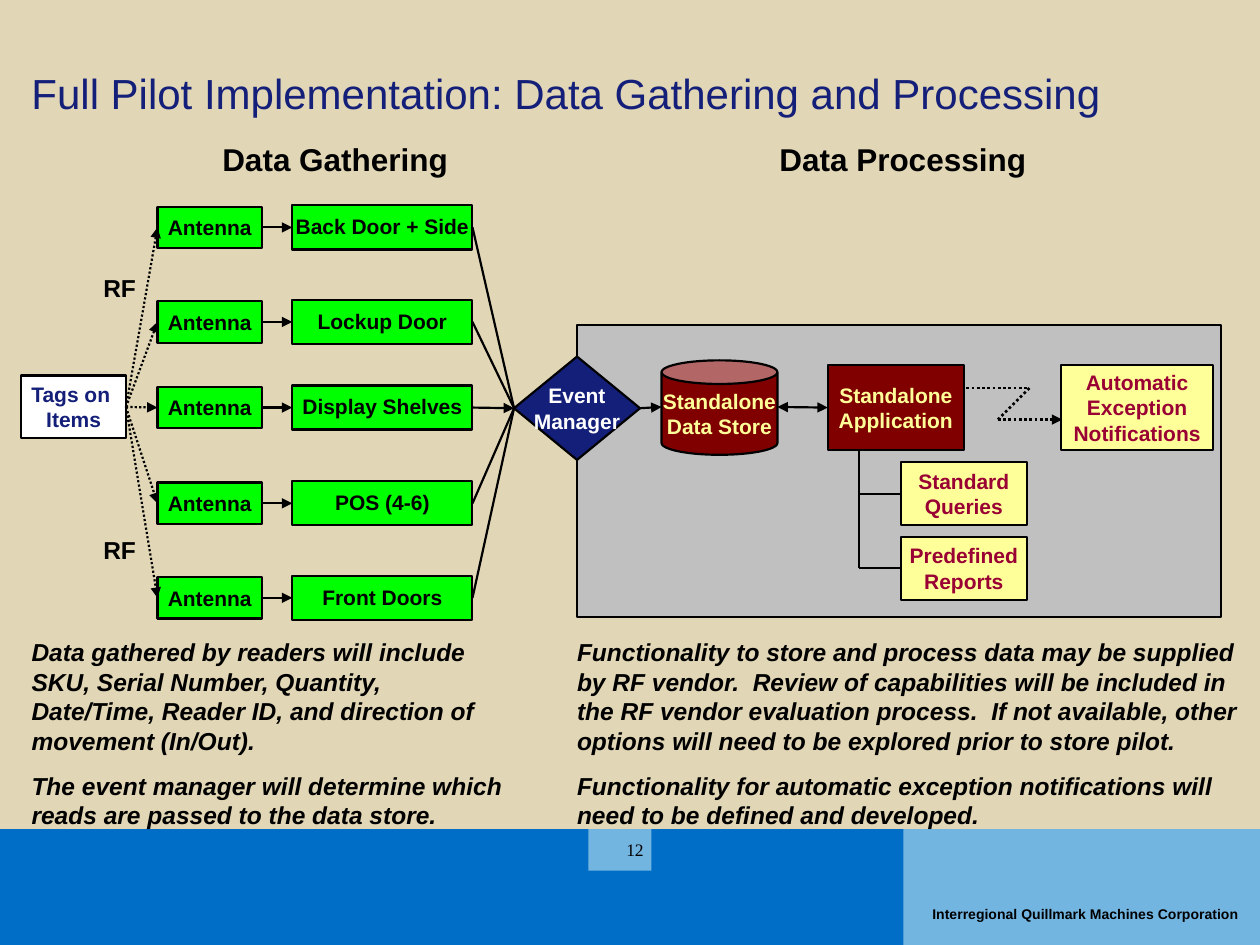
import pptx
import pptx.util
import pptx.dml.color
import pptx.enum.dml
import pptx.enum.shapes
import pptx.enum.text
import pptx.oxml.ns
from lxml import etree

Inches = pptx.util.Inches
Pt = pptx.util.Pt
Kind = pptx.enum.shapes.MSO_SHAPE
Align = pptx.enum.text.PP_ALIGN
Anchor = pptx.enum.text.MSO_ANCHOR

BLACK, NAVY, MAROON = "000000", "141F79", "800000"
BLUE, SKY, GREEN = "006EC7", "73B5E1", "00FF00"
YELLOW, WINE, WHITE = "FFFF99", "990033", "FFFFFF"
TOP, LEFT, BOTTOM, RIGHT = range(4)

bands = [
    ((0, 6.58, 10, 0.92), BLUE),
    ((7.17, 6.58, 2.83, 0.92), SKY),
    ((4.67, 6.58, 0.5, 0.33), SKY),
]
company = "Interregional Quillmark Machines Corporation"
title = "Full Pilot Implementation: Data Gathering and Processing"
heads = [
    ((1.55, 1.11, 2.22, 0.3), "Data Gathering"),
    ((6.08, 1.11, 2.17, 0.3), "Data Processing"),
]
readers = [
    (1.63, "Back Door + Side"),
    (2.38, "Lockup Door"),
    (3.06, "Display Shelves"),
    (3.82, "POS (4-6)"),
    (4.57, "Front Doors"),
]
outputs = [(3.67, "Standard Queries"), (4.26, "Predefined Reports")]
notes = [
    ((0.25, 5.06, 3.75, 1.53), [
        "Data gathered by readers will include SKU, Serial Number, Quantity, "
        "Date/Time, Reader ID, and direction of movement (In/Out).",
        "The event manager will determine which reads are passed to the data store.",
    ]),
    ((4.58, 5.06, 5.33, 1.53), [
        "Functionality to store and process data may be supplied by RF vendor.  "
        "Review of capabilities will be included in the RF vendor evaluation process.  "
        "If not available, other options will need to be explored prior to store pilot.",
        "Functionality for automatic exception notifications will need to be "
        "defined and developed.",
    ]),
]
zigzag = [(7.67, 3.08), (8.17, 3.08), (7.92, 3.33), (8.43, 3.33)]

deck = pptx.Presentation()
deck.slide_width, deck.slide_height = Inches(10), Inches(7.5)
slide = deck.slides.add_slide(deck.slide_layouts[6])


def color(code):
    return pptx.dml.color.RGBColor.from_string(code)


def write(shape, lines, size=12, ink=BLACK, bold=True, slant=False, face="Arial",
          align=Align.CENTER, anchor=Anchor.MIDDLE, wrap=True, pitch=None, gap=0):
    frame = shape.text_frame
    frame.word_wrap = wrap
    frame.vertical_anchor = anchor
    frame.margin_left = frame.margin_right = frame.margin_top = frame.margin_bottom = 0
    for i, line in enumerate(lines):
        para = frame.add_paragraph() if i else frame.paragraphs[0]
        para.alignment = align
        if pitch:
            para.line_spacing = pitch
        if i and gap:
            para.space_before = Pt(gap)
        run = para.add_run()
        run.text = line
        font = run.font
        font.name, font.size, font.bold, font.italic = face, Pt(size), bold, slant
        font.color.rgb = color(ink)


def label(area, lines, **style):
    write(slide.shapes.add_textbox(*map(Inches, area)), lines, **style)


def block(area, fill, lines=(), kind=Kind.RECTANGLE, edge=True, **style):
    shape = slide.shapes.add_shape(kind, *map(Inches, area))
    shape.shadow.inherit = False
    shape.fill.solid()
    shape.fill.fore_color.rgb = color(fill)
    if edge:
        shape.line.color.rgb = color(BLACK)
        shape.line.width = Pt(1.25)
    else:
        shape.line.fill.background()
    write(shape, lines, **style)
    return shape


def link(start, end, ends=(), dots=False, width=1.25):
    joins = [isinstance(spot[1], int) and not isinstance(spot[0], (int, float))
             for spot in (start, end)]
    spots = [(0, 0) if join else spot for join, spot in zip(joins, (start, end))]
    line = slide.shapes.add_connector(
        pptx.enum.shapes.MSO_CONNECTOR.STRAIGHT,
        *(Inches(n) for spot in spots for n in spot))
    if joins[0]:
        line.begin_connect(*start)
    if joins[1]:
        line.end_connect(*end)
    line.line.color.rgb = color(BLACK)
    line.line.width = Pt(width)
    if dots:
        line.line.dash_style = pptx.enum.dml.MSO_LINE.ROUND_DOT
    qn = pptx.oxml.ns.qn
    props = line._element.spPr
    for end in ends:
        etree.SubElement(props.find(qn("a:ln")), qn("a:" + end), type="triangle")
    etree.SubElement(props, qn("a:effectLst"))


slide.background.fill.solid()
slide.background.fill.fore_color.rgb = color("E1D6B5")
for area, fill in bands:
    block(area, fill, edge=False)
label((7.4, 7.19, 2.5, 0.14), [company], size=8, align=Align.LEFT, anchor=Anchor.TOP)
label((4.91, 6.62, 0.26, 0.25), ["12"], size=10, bold=False, face="Times New Roman")
label((0.25, 0.08, 9.5, 0.86), [title], size=24, ink=NAVY, bold=False,
      align=Align.LEFT, anchor=Anchor.BOTTOM, pitch=0.9)
for area, text in heads:
    label(area, [text], size=18, anchor=Anchor.TOP)
for area, lines in notes:
    label(area, lines, size=14, slant=True, align=Align.LEFT, anchor=Anchor.TOP, gap=8.8)

block((4.58, 2.58, 5.11, 2.32), "C0C0C0")
tags = block((0.17, 2.98, 0.83, 0.5), WHITE, ["Tags on ", "Items"], ink=NAVY, wrap=False)
event = block((4.08, 2.83, 1, 0.82), NAVY, ["Event", "Manager"], kind=Kind.DIAMOND,
              ink=WHITE, wrap=False)
block((5.25, 2.86, 0.92, 0.75), MAROON, ["Standalone", "Data Store"], kind=Kind.CAN,
      ink=YELLOW, wrap=False)
app = block((6.57, 2.9, 1.08, 0.67), MAROON, ["Standalone", "Application"],
            ink=YELLOW, wrap=False)
block((8.42, 2.9, 1.21, 0.67), YELLOW, ["Automatic", "Exception", "Notifications"],
      ink=WINE, wrap=False)

for top, name in readers:
    antenna = block((1.25, top + 0.01, 0.83, 0.33), GREEN, ["Antenna"], wrap=False)
    reader = block((2.32, top, 1.43, 0.35), GREEN, [name], pitch=0.95)
    link((tags, RIGHT), (antenna, LEFT), ["tailEnd"], dots=True)
    link((antenna, RIGHT), (reader, LEFT), ["tailEnd"])
    link((reader, RIGHT), (event, LEFT), ["tailEnd"] if name == "Display Shelves" else [])
for top in (2.17, 4.25):
    label((0.82, top, 0.26, 0.23), ["RF"], size=14, anchor=Anchor.TOP, wrap=False)

link((event, RIGHT), (5.25, 3.23), ["tailEnd"])
link((6.17, 3.23), (app, LEFT), ["headEnd", "tailEnd"])
for i, (start, end) in enumerate(zip(zigzag, zigzag[1:])):
    link(start, end, ["tailEnd"] if i == 2 else [], dots=True, width=1.5)
link((6.82, 3.58), (6.82, 4.51))
for top, name in outputs:
    box = block((7.15, top, 1, 0.5), YELLOW, [name], ink=WINE)
    link((6.82, top + 0.25), (box, LEFT))

deck.save("out.pptx")
